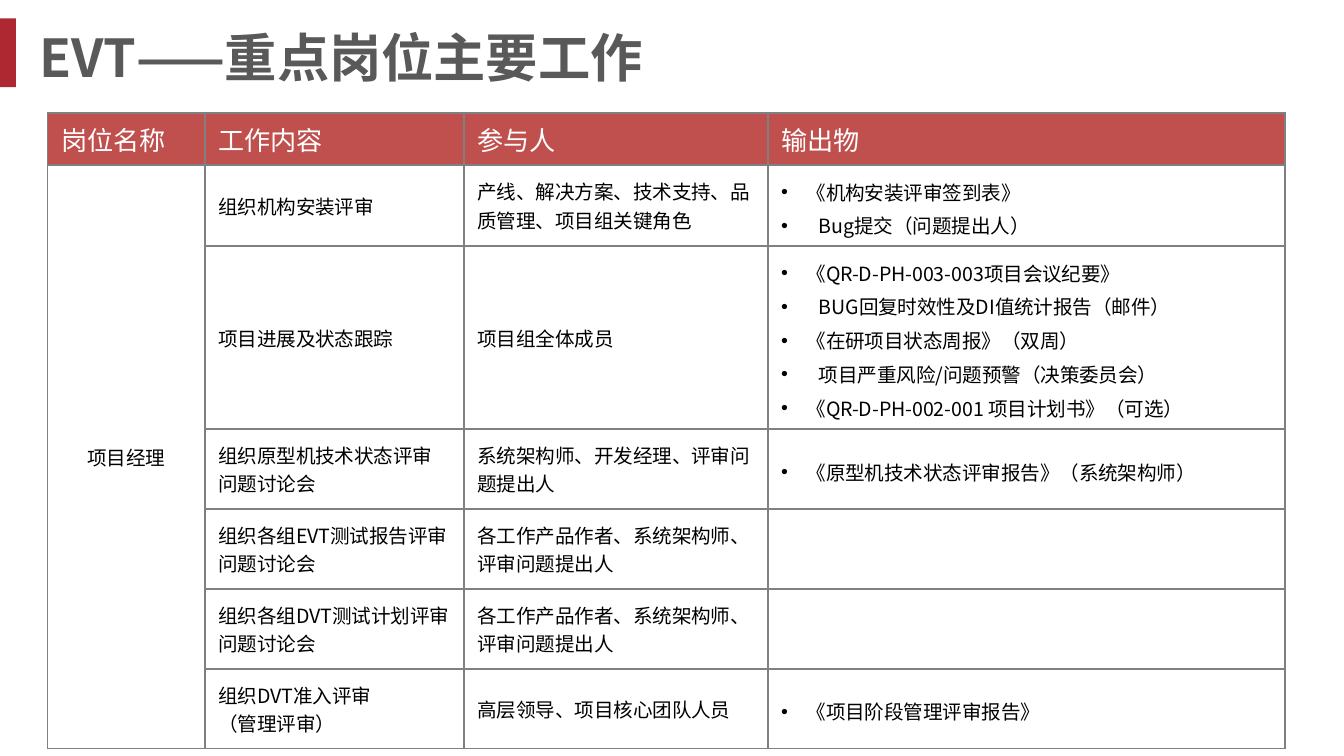
import dataclasses

import pptx
import pptx.dml.color
import pptx.enum.shapes
import pptx.enum.text
import pptx.oxml
import pptx.oxml.ns
import pptx.util

Cm = pptx.util.Cm
Pt = pptx.util.Pt
Anchor = pptx.enum.text.MSO_ANCHOR
Align = pptx.enum.text.PP_ALIGN


@dataclasses.dataclass(frozen=True)
class Theme:
    font: str = "Noto Sans CJK SC"
    bar: str = "AD2830"
    title: str = "595959"
    head: str = "C0504D"
    light: str = "FFFFFF"
    ink: str = "000000"
    rule: str = "808080"
    title_size: float = 28
    head_size: float = 14
    body_size: float = 10.5


THEME = Theme()
COLS = (2.97, 4.9, 5.74, 9.78)
ROWS = (0.98, 1.53, 3.46, 1.51, 1.51, 1.51, 1.51)
HEAD = ("岗位名称", "工作内容", "参与人", "输出物")
ROLE = "项目经理"
AUTHORS = "各工作产品作者、系统架构师、评审问题提出人"
# Each task: work lines, people, outputs
TASKS = (
    (["组织机构安装评审"], "产线、解决方案、技术支持、品质管理、项目组关键角色",
     ["《机构安装评审签到表》", "Bug提交（问题提出人）"]),
    (["项目进展及状态跟踪"], "项目组全体成员",
     ["《QR-D-PH-003-003项目会议纪要》",
      "BUG回复时效性及DI值统计报告（邮件）",
      "《在研项目状态周报》（双周）",
      "项目严重风险/问题预警（决策委员会）",
      "《QR-D-PH-002-001 项目计划书》（可选）"]),
    (["组织原型机技术状态评审问题讨论会"], "系统架构师、开发经理、评审问题提出人",
     ["《原型机技术状态评审报告》（系统架构师）"]),
    (["组织各组EVT测试报告评审问题讨论会"], AUTHORS, []),
    (["组织各组DVT测试计划评审问题讨论会"], AUTHORS, []),
    (["组织DVT准入评审", "（管理评审）"], "高层领导、项目核心团队人员",
     ["《项目阶段管理评审报告》"]),
)


def rgb(code):
    return pptx.dml.color.RGBColor.from_string(code)


def add_xml(parent, tag, body="", **attrs):
    """Append one DrawingML element to parent."""
    pairs = "".join(f' {key}="{val}"' for key, val in attrs.items())
    space = pptx.oxml.ns.nsdecls("a")
    parent.append(pptx.oxml.parse_xml(
        f"<a:{tag} {space}{pairs}>{body}</a:{tag}>"))


def add_run(para, text, size, color, bold=False):
    run = para.add_run()
    run.text = text
    run.font.name = THEME.font
    run.font.size = Pt(size)
    run.font.bold = bold
    run.font.color.rgb = rgb(color)
    add_xml(run.font._element, "ea", typeface=THEME.font)


def add_bullet(para, text):
    """Hang the text; lines without a title mark sit a little deeper."""
    props = para._p.get_or_add_pPr()
    hang = Cm(0.48 if text.startswith("《") else 0.71)
    props.set("marL", str(hang))
    props.set("indent", str(-hang))
    add_xml(props, "buFont", typeface="Arial")
    add_xml(props, "buChar", char="•")
    para.line_spacing = 1.2


def fill_cell(cell, lines, size=THEME.body_size, color=THEME.ink,
              back=None, align=Align.LEFT, dots=False):
    props = cell._tc.get_or_add_tcPr()
    line = f'<a:solidFill><a:srgbClr val="{THEME.rule}"/></a:solidFill>'
    for side in "LRTB":
        add_xml(props, "ln" + side, line, w=Pt(1))
    if back:
        cell.fill.solid()
        cell.fill.fore_color.rgb = rgb(back)
    else:
        cell.fill.background()
    cell.vertical_anchor = Anchor.MIDDLE
    frame = cell.text_frame
    for i, text in enumerate(lines):
        para = frame.add_paragraph() if i else frame.paragraphs[0]
        para.alignment = align
        if dots:
            add_bullet(para, text)
        add_run(para, text, size, color)


def add_bar(slide):
    bar = slide.shapes.add_shape(pptx.enum.shapes.MSO_SHAPE.RECTANGLE,
                                 0, Cm(0.35), Cm(0.3), Cm(1.3))
    bar.shadow.inherit = False
    bar.fill.solid()
    bar.fill.fore_color.rgb = rgb(THEME.bar)
    bar.line.fill.background()


def add_title(slide, text):
    box = slide.shapes.add_textbox(Cm(0.49), Cm(0.37), Cm(20.6), Cm(1.4))
    frame = box.text_frame
    frame.word_wrap = True
    frame.vertical_anchor = Anchor.MIDDLE
    add_run(frame.paragraphs[0], text, THEME.title_size, THEME.title, True)


def add_grid(slide):
    table = slide.shapes.add_table(
        len(ROWS), len(COLS), Cm(0.9), Cm(2.14),
        Cm(sum(COLS)), Cm(sum(ROWS))).table
    table.first_row = table.horz_banding = False
    for col, width in zip(table.columns, COLS):
        col.width = Cm(width)
    for row, height in zip(table.rows, ROWS):
        row.height = Cm(height)
    for c, text in enumerate(HEAD):
        fill_cell(table.cell(0, c), [text], THEME.head_size, THEME.light,
                  THEME.head)
    for r, (work, people, outs) in enumerate(TASKS, 1):
        role = [ROLE] if r == 1 else []
        fill_cell(table.cell(r, 0), role, align=Align.CENTER)
        fill_cell(table.cell(r, 1), work)
        fill_cell(table.cell(r, 2), [people])
        fill_cell(table.cell(r, 3), outs, dots=True)
    table.cell(1, 0).merge(table.cell(len(TASKS), 0))


def main():
    deck = pptx.Presentation()
    deck.slide_width, deck.slide_height = Cm(25.4), Cm(14.29)
    slide = deck.slides.add_slide(deck.slide_layouts[6])
    add_bar(slide)
    add_title(slide, "EVT——重点岗位主要工作")
    add_grid(slide)
    deck.save("out.pptx")


if __name__ == "__main__":
    main()
